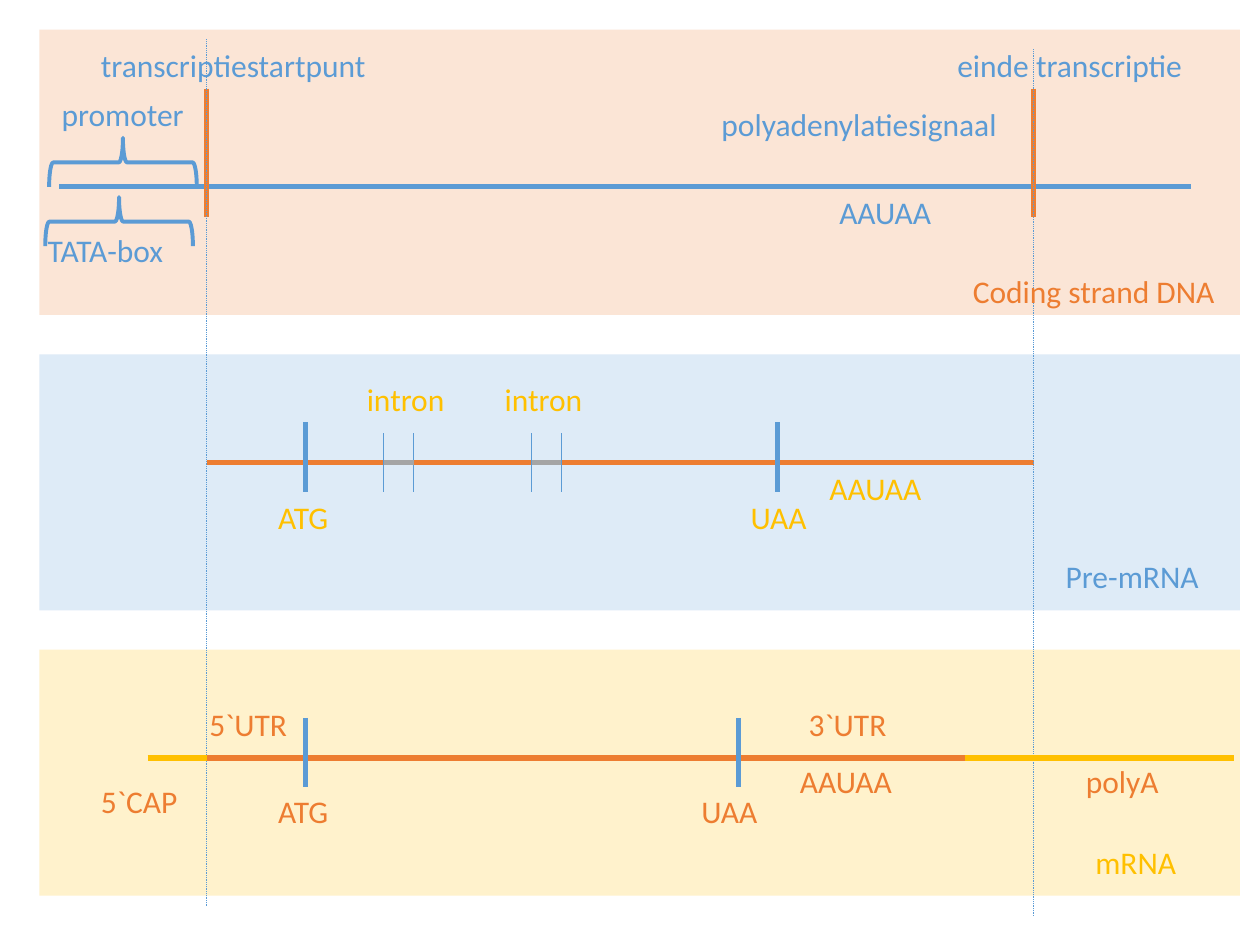
"""Draw the route from coding strand DNA through pre-mRNA to mRNA."""
from dataclasses import dataclass

from lxml.etree import SubElement
from pptx import Presentation
from pptx.dml.color import RGBColor as Rgb
from pptx.enum.dml import MSO_LINE as Dash
from pptx.enum.shapes import MSO_CONNECTOR as Link, MSO_SHAPE as Preset
from pptx.enum.text import MSO_AUTO_SIZE as Fit, PP_ALIGN as Align
from pptx.oxml.ns import qn
from pptx.slide import Slide
from pptx.util import Pt


@dataclass(frozen=True)
class Theme:
    blue: str = "5B9BD5"
    orange: str = "ED7D31"
    gold: str = "FFC000"
    grey: str = "A5A5A5"
    dna_band: str = "FBE5D6"
    pre_mrna_band: str = "DEEBF7"
    mrna_band: str = "FFF2CC"
    font: str = "Calibri"
    text_size: float = 18
    strand: float = 3
    bracket: float = 2.25
    hairline: float = 0.5


@dataclass(frozen=True)
class Band:
    top: float
    height: float
    color: str


@dataclass(frozen=True)
class Segment:
    x1: float
    y1: float
    x2: float
    y2: float
    color: str
    weight: float
    dash: Dash | None = None


@dataclass(frozen=True)
class Label:
    text: str
    left: float
    top: float
    width: float
    color: str


THEME = Theme()
BAND_LEFT, BAND_WIDTH = 22.5, 686
DNA_Y, PRE_MRNA_Y, MRNA_Y = 106.8, 264.4, 433.2
START_X, END_X, ATG_X = 118.1, 590.6, 174.4
POLY_A_X = 551.3
INTRON_WIDTH = 16.9
INTRON_STARTS = (219.4, 303.8)

BANDS = (
    Band(371.3, 140.6, THEME.mrna_band),
    Band(202.5, 146.3, THEME.pre_mrna_band),
    Band(16.9, 163.1, THEME.dna_band),
)
BRACKETS = ((56.2, 50.6), (54, 84.4))


def strand(x1: float, x2: float, y: float, color: str) -> Segment:
    """Describe a thick horizontal stretch."""
    return Segment(x1, y, x2, y, color, THEME.strand)


def tick(x: float, top: float, bottom: float, color: str, weight: float = THEME.strand) -> Segment:
    """Describe a vertical mark."""
    return Segment(x, top, x, bottom, color, weight)


def codon(x: float, y: float) -> Segment:
    """Describe the mark of a codon on the strand at height y."""
    return tick(x, y - 23, y + 16.5, THEME.blue)


def intron(x: float) -> tuple[Segment, ...]:
    """Describe an intron with its two borders."""
    borders = (tick(edge, 247.5, 281.3, THEME.blue, THEME.hairline)
               for edge in (x, x + INTRON_WIDTH))
    return (*borders, strand(x, x + INTRON_WIDTH, PRE_MRNA_Y, THEME.grey))


def guide(x: float, top: float) -> Segment:
    """Describe a dotted guide through all bands."""
    return Segment(x, top, x, top + 495, THEME.blue, THEME.hairline, Dash.ROUND_DOT)


SEGMENTS = (
    strand(33.8, 680.6, DNA_Y, THEME.blue),
    *(tick(x, 50.6, 123.8, THEME.orange) for x in (START_X, END_X)),
    strand(START_X, END_X, PRE_MRNA_Y, THEME.orange),
    codon(ATG_X, PRE_MRNA_Y),
    codon(444.4, PRE_MRNA_Y),
    *(part for x in INTRON_STARTS for part in intron(x)),
    strand(START_X, POLY_A_X, MRNA_Y, THEME.orange),
    guide(START_X, 22.5),
    guide(END_X, 28.1),
    strand(84.4, START_X, MRNA_Y, THEME.gold),
    strand(POLY_A_X, 705, MRNA_Y, THEME.gold),
    codon(ATG_X, MRNA_Y),
    codon(421.9, MRNA_Y),
)

LABELS = (
    Label("promoter", 28.1, 50.6, 87, THEME.blue),
    Label("TATA-box", 20.2, 128.2, 92, THEME.blue),
    Label("transcriptiestartpunt", 50.6, 22.5, 174, THEME.blue),
    Label("polyadenylatiesignaal", 405.2, 56.2, 188, THEME.blue),
    Label("einde transcriptie", 540, 22.5, 153, THEME.blue),
    Label("AAUAA", 472.5, 106.8, 76, THEME.blue),
    Label("Coding strand DNA", 548.8, 151.9, 171, THEME.orange),
    Label("intron", 202.5, 213.8, 60, THEME.gold),
    Label("intron", 281.3, 213.8, 60, THEME.gold),
    Label("ATG", 151.9, 281.3, 50, THEME.gold),
    Label("UAA", 421.9, 281.3, 52, THEME.gold),
    Label("AAUAA", 466.9, 264.4, 76, THEME.gold),
    Label("Pre-mRNA", 601.9, 315, 102, THEME.blue),
    Label("5`UTR", 112.5, 399.4, 68, THEME.orange),
    Label("3`UTR", 455, 399.4, 68, THEME.orange),
    Label("5`CAP", 50.6, 443.4, 68, THEME.orange),
    Label("ATG", 151.9, 449.3, 50, THEME.orange),
    Label("UAA", 393.8, 449.3, 52, THEME.orange),
    Label("AAUAA", 450, 432, 76, THEME.orange),
    Label("polyA", 613.4, 432, 60, THEME.orange),
    Label("mRNA", 618.8, 478.1, 68, THEME.gold),
)


def add_band(slide: Slide, band: Band) -> None:
    """Draw a coloured background band."""
    panel = slide.shapes.add_shape(Preset.RECTANGLE, Pt(BAND_LEFT), Pt(band.top),
                                   Pt(BAND_WIDTH), Pt(band.height))
    panel.shadow.inherit = False
    panel.fill.solid()
    panel.fill.fore_color.rgb = Rgb.from_string(band.color)
    panel.line.fill.background()


def add_bracket(slide: Slide, left: float, top: float) -> None:
    """Draw a brace turned to point upwards."""
    brace = slide.shapes.add_shape(Preset.RIGHT_BRACE, Pt(left), Pt(top), Pt(28.1), Pt(84.4))
    brace.rotation = 270
    brace.shadow.inherit = False
    brace.fill.background()
    brace.line.color.rgb = Rgb.from_string(THEME.blue)
    brace.line.width = Pt(THEME.bracket)


def add_segment(slide: Slide, segment: Segment) -> None:
    """Draw a straight line without shadow."""
    ends = map(Pt, (segment.x1, segment.y1, segment.x2, segment.y2))
    connector = slide.shapes.add_connector(Link.STRAIGHT, *ends)
    connector.line.color.rgb = Rgb.from_string(segment.color)
    connector.line.width = Pt(segment.weight)
    if segment.dash is not None:
        connector.line.dash_style = segment.dash
    SubElement(connector._element.spPr, qn("a:effectLst"))


def add_text(slide: Slide, text: str, *, left: float, top: float, width: float, color: str) -> None:
    """Write one unwrapped line of text."""
    box = slide.shapes.add_textbox(Pt(left), Pt(top), Pt(width), Pt(29.1))
    frame = box.text_frame
    frame.word_wrap = False
    frame.auto_size = Fit.SHAPE_TO_FIT_TEXT
    paragraph = frame.paragraphs[0]
    paragraph.alignment = Align.LEFT
    run = paragraph.add_run()
    run.text = text
    run.font.name = THEME.font
    run.font.size = Pt(THEME.text_size)
    run.font.color.rgb = Rgb.from_string(color)


def main() -> None:
    """Build and save the slide."""
    deck = Presentation()
    deck.slide_width, deck.slide_height = Pt(720), Pt(540)
    slide = deck.slides.add_slide(deck.slide_layouts[6])
    for band in BANDS:
        add_band(slide, band)
    for left, top in BRACKETS:
        add_bracket(slide, left, top)
    for segment in SEGMENTS:
        add_segment(slide, segment)
    for label in LABELS:
        add_text(slide, label.text, left=label.left, top=label.top,
                 width=label.width, color=label.color)
    deck.save("out.pptx")


if __name__ == "__main__":
    main()
